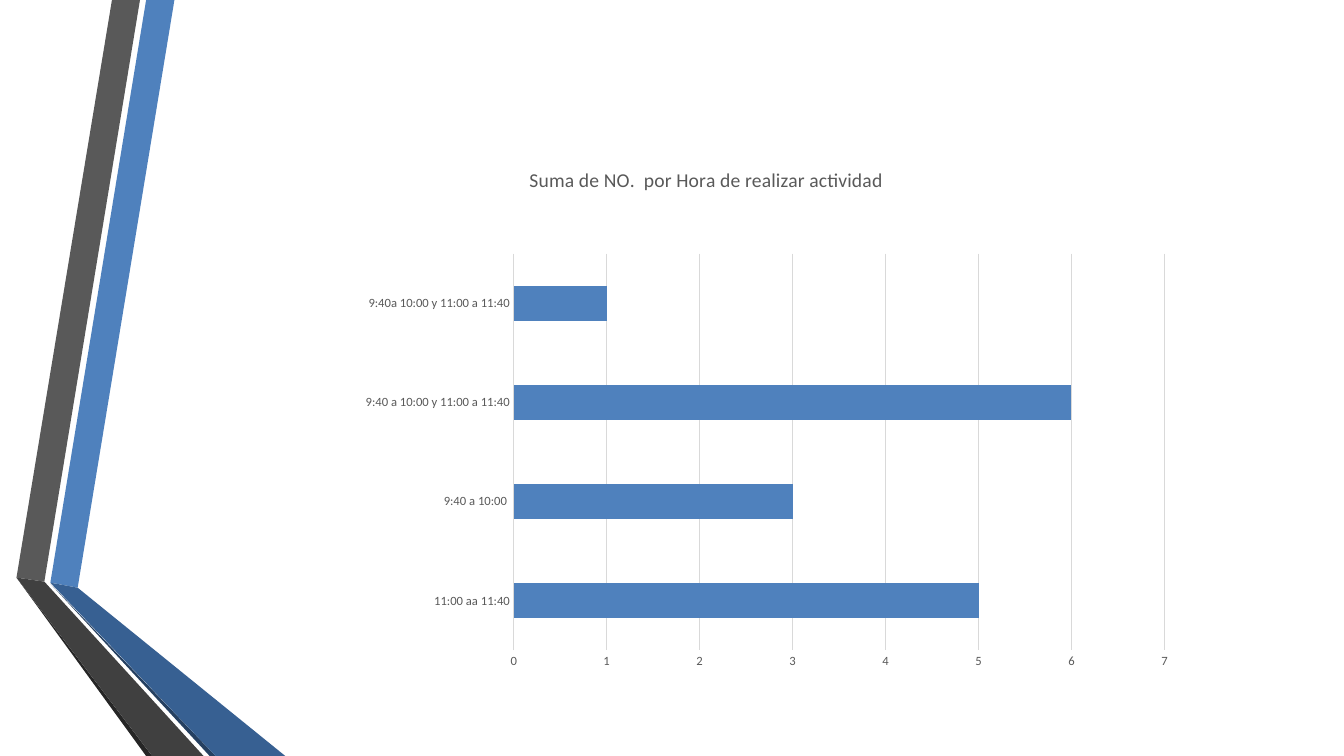
"""Builds a slide with a bar chart of activity hours beside a folded ribbon."""
import pptx
import pptx.chart.data
import pptx.dml.color
import pptx.enum.chart
import pptx.oxml
import pptx.oxml.ns
import pptx.util

Pt = pptx.util.Pt
RGBColor = pptx.dml.color.RGBColor

BLUE = RGBColor(0x4F, 0x81, 0xBD)
BLUE_FOLD = RGBColor(0x37, 0x60, 0x92)
BLUE_EDGE = RGBColor(0x25, 0x40, 0x61)
GREY = RGBColor(0x59, 0x59, 0x59)
GREY_FOLD = RGBColor(0x40, 0x40, 0x40)
GREY_EDGE = RGBColor(0x26, 0x26, 0x26)
GRID = RGBColor(0xD9, 0xD9, 0xD9)
FONT = "Calibri"

deck = pptx.Presentation()
deck.slide_width, deck.slide_height = Pt(960), Pt(540)
slide = deck.slides.add_slide(deck.slide_layouts[6])

ribbon_parts = [
    (BLUE, [(36, 416.2), (55.5, 419.8), (124.6, 0), (104.4, 0)]),
    (GREY, [(100, 0), (80, 0), (11.8, 412.6), (31.7, 415.5)]),
    (GREY_EDGE, [(11.8, 412.6), (104.4, 540), (108.7, 540)]),
    (BLUE_EDGE, [(36, 416.9), (149.8, 540), (154.1, 540)]),
    (BLUE_FOLD, [(36, 416.2), (154.1, 540), (203.8, 540), (55.5, 419.8)]),
    (GREY_FOLD, [(11.8, 412.6), (108.7, 540), (145.4, 540), (31.7, 415.5)]),
]
ribbon = slide.shapes.add_group_shape()
for color, corners in ribbon_parts:
    points = [(Pt(x), Pt(y)) for x, y in corners]
    outline = ribbon.shapes.build_freeform(*points[0])
    outline.add_line_segments(points[1:], close=True)
    band = outline.convert_to_shape()
    band.fill.solid()
    band.fill.fore_color.rgb = color
    band.line.fill.background()
    band.shadow.inherit = False

hours = pptx.chart.data.CategoryChartData()
hours.categories = [
    "11:00 aa 11:40",
    "9:40 a 10:00 ",
    "9:40 a 10:00 y 11:00 a 11:40",
    "9:40a 10:00 y 11:00 a 11:40",
]
hours.add_series("Series 1", [5, 3, 6, 1])
chart = slide.shapes.add_chart(
    pptx.enum.chart.XL_CHART_TYPE.BAR_CLUSTERED,
    Pt(145), Pt(104.6), Pt(720.7), Pt(393.1), hours,
).chart
chart.has_legend = False
chart.font.name = FONT
chart.font.size = Pt(10)

chart.has_title = True
heading = chart.chart_title.text_frame
heading.text = "Suma de NO.  por Hora de realizar actividad"
heading_font = heading.paragraphs[0].runs[0].font
heading_font.name = FONT
heading_font.size = Pt(14)
heading_font.bold = False
heading_font.color.rgb = GREY

bars = chart.plots[0]
bars.gap_width = 182
bars.vary_by_categories = False
bars.series[0].format.fill.solid()
bars.series[0].format.fill.fore_color.rgb = BLUE

hour_axis, sum_axis = chart.category_axis, chart.value_axis
for axis in (hour_axis, sum_axis):
    axis.major_tick_mark = pptx.enum.chart.XL_TICK_MARK.NONE
    axis.minor_tick_mark = pptx.enum.chart.XL_TICK_MARK.NONE
    axis.tick_labels.font.name = FONT
    axis.tick_labels.font.size = Pt(9)
    axis.tick_labels.font.color.rgb = GREY
hour_axis.has_major_gridlines = False
sum_axis.has_major_gridlines = True
sum_axis.minimum_scale, sum_axis.maximum_scale, sum_axis.major_unit = 0, 7, 1
sum_axis.format.line.fill.background()
for line in (hour_axis.format.line, sum_axis.major_gridlines.format.line):
    line.color.rgb = GRID
    line.width = Pt(0.75)

plot_area = bars._element.getparent()
title_element = chart.chart_title._element
for owner, index, target, box in (
    (plot_area, 0, "inner", {"x": 0.308, "y": 0.195, "w": 0.645, "h": 0.721}),
    (title_element, 1, None, {"x": 0.32, "y": 0.029}),
):
    for old_layout in owner.findall(pptx.oxml.ns.qn("c:layout")):
        owner.remove(old_layout)
    settings = f'<c:layoutTarget val="{target}"/>' if target else ""
    settings += '<c:xMode val="edge"/><c:yMode val="edge"/>'
    settings += "".join(f'<c:{side} val="{share}"/>' for side, share in box.items())
    owner.insert(index, pptx.oxml.parse_xml(
        f'<c:layout {pptx.oxml.ns.nsdecls("c")}><c:manualLayout>'
        f"{settings}</c:manualLayout></c:layout>"
    ))

deck.save("out.pptx")
